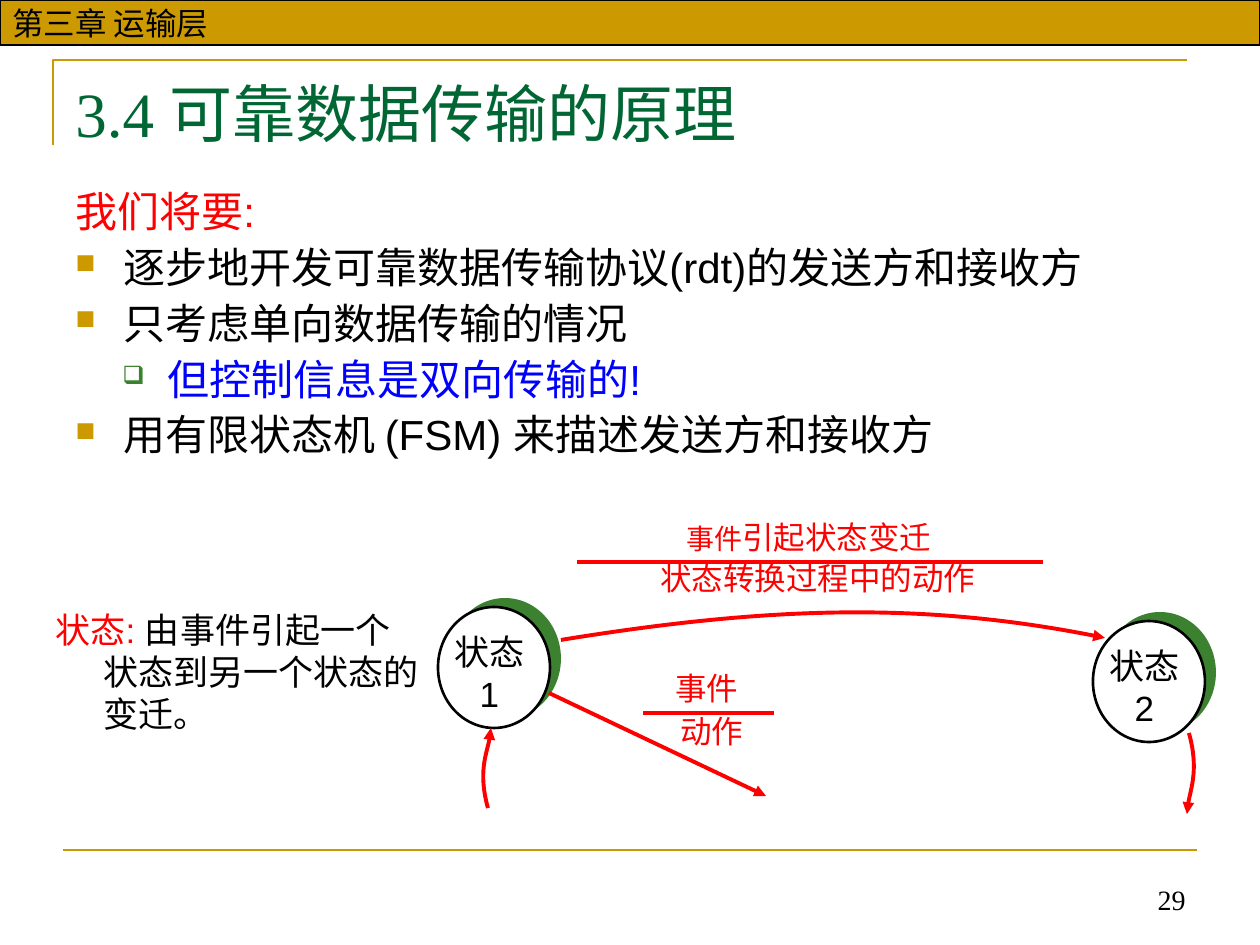
from dataclasses import dataclass

from lxml.etree import SubElement
from pptx import Presentation
from pptx.dml.color import RGBColor
from pptx.enum.shapes import MSO_CONNECTOR, MSO_SHAPE
from pptx.enum.text import MSO_ANCHOR, PP_ALIGN
from pptx.oxml.ns import qn
from pptx.util import Pt

SCALE = 914400 / 126


@dataclass(frozen=True)
class Theme:
    gold: str = "CC9900"
    title: str = "006633"
    green: str = "3B812F"
    red: str = "FF0000"
    blue: str = "0000FF"
    black: str = "000000"
    white: str = "FFFFFF"
    sans: str = "Arial"
    serif: str = "Times New Roman"
    title_size: int = 36
    body_size: int = 24
    state_size: int = 20
    label_size: int = 18
    small_size: int = 16
    thin: float = 0.75
    rule: float = 1.5
    arrow: float = 2.25


T = Theme()


def px(n):
    return round(n * SCALE)


def rgb(color):
    return RGBColor.from_string(color)


def add_run(p, text, size=T.label_size, color=T.black, font=T.sans):
    r = p.add_run()
    r.text = text
    r.font.size, r.font.name = Pt(size), font
    r.font.color.rgb = rgb(color)


def add_text(s, box, text, align=PP_ALIGN.LEFT, anchor=MSO_ANCHOR.TOP, wrap=True, **style):
    """Add a text box with one paragraph for each line of text."""
    tf = s.shapes.add_textbox(*map(px, box)).text_frame
    tf.word_wrap, tf.vertical_anchor = wrap, anchor
    for i, line in enumerate(text.split("\n")):
        p = tf.paragraphs[0] if i == 0 else tf.add_paragraph()
        p.alignment = align
        if line:
            add_run(p, line, **style)
    return tf


def set_indent(p, left, first):
    pPr = p._p.get_or_add_pPr()
    pPr.set("marL", str(px(left)))
    pPr.set("indent", str(px(first)))
    return pPr


def add_bullet(pPr, char, color, percent):
    SubElement(SubElement(pPr, qn("a:buClr")), qn("a:srgbClr"), val=color)
    SubElement(pPr, qn("a:buSzPct"), val=str(percent * 1000))
    SubElement(pPr, qn("a:buChar"), char=char)


def set_line(sp, color, width, arrow=False):
    sp.line.color.rgb, sp.line.width = rgb(color), Pt(width)
    if arrow:
        SubElement(sp.line._get_or_add_ln(), qn("a:tailEnd"), type="triangle")


def add_line(s, x1, y1, x2, y2, color, width, arrow=False):
    c = s.shapes.add_connector(MSO_CONNECTOR.STRAIGHT, *map(px, (x1, y1, x2, y2)))
    set_line(c, color, width, arrow)
    SubElement(c._element.spPr, qn("a:effectLst"))


def add_shape(s, kind, box, fill, line=None, width=T.rule):
    sp = s.shapes.add_shape(kind, *map(px, box))
    sp.shadow.inherit = False
    sp.fill.solid()
    sp.fill.fore_color.rgb = rgb(fill)
    if line:
        set_line(sp, line, width)
    else:
        sp.line.fill.background()
    return sp


def add_outline(s, points, width, color, arrow=False):
    fb = s.shapes.build_freeform(*points[0], scale=SCALE)
    fb.add_line_segments(points[1:], close=False)
    sp = fb.convert_to_shape()
    sp.shadow.inherit = False
    sp.fill.background()
    set_line(sp, color, width, arrow)
    return sp


def add_curve(s, points):
    """Draw a red arrow along the cubic curve with these four control points."""
    sp = add_outline(s, points, T.arrow, T.red, arrow=True)
    segments = list(sp._element.iter(qn("a:lnTo")))
    curve = SubElement(segments[0].getparent(), qn("a:cubicBezTo"))
    for segment in segments:
        curve.append(segment[0])
        segment.getparent().remove(segment)


def frame(s, box):
    """Draw the chapter bar and the gold rules."""
    x, y, w, h = box
    add_outline(s, [(x + 53, y + 145), (x + 53, y + 60), (x + 1187, y + 60)], T.rule, T.gold)
    add_line(s, x + 63, y + 850, x + 1197, y + 850, T.gold, T.rule)
    bar = add_shape(s, MSO_SHAPE.RECTANGLE, (x, y, w, 45), T.gold, T.black, T.thin)
    tf = bar.text_frame
    tf.word_wrap, tf.vertical_anchor = False, MSO_ANCHOR.MIDDLE
    tf.paragraphs[0].alignment = PP_ALIGN.LEFT
    add_run(tf.paragraphs[0], "第三章 运输层")
    add_text(s, (x + 799, y + 859, 399, 63), "29", PP_ALIGN.RIGHT, MSO_ANCHOR.BOTTOM,
             size=T.small_size, font=T.serif)


def outline_list(s, box):
    square = ("■", T.gold, 65)
    hollow = ("❑", T.green, 60)
    items = [
        ("我们将要:", T.red, 0, None),
        ("逐步地开发可靠数据传输协议(rdt)的发送方和接收方", T.black, 0, square),
        ("只考虑单向数据传输的情况", T.black, 0, square),
        ("但控制信息是双向传输的!", T.blue, 1, hollow),
        ("用有限状态机 (FSM) 来描述发送方和接收方", T.black, 0, square),
    ]
    tf = add_text(s, box, "")
    for i, (text, color, level, bullet) in enumerate(items):
        p = tf.add_paragraph() if i else tf.paragraphs[0]
        p.level, p.line_spacing = level, 0.9
        if i:
            p.space_before = Pt(6)
        pPr = set_indent(p, *((92, -45) if level else (48, -48)))
        if bullet:
            add_bullet(pPr, *bullet)
        add_run(p, text, T.body_size, color)


def state(s, box, number):
    x, y, w, h = box
    dx, dy = 11, 9
    size = (w - dx, h - dy)
    add_shape(s, MSO_SHAPE.OVAL, (x + dx, y, *size), T.green)
    add_shape(s, MSO_SHAPE.OVAL, (x, y + dy, *size), T.white, T.black)
    add_text(s, (x + 4, y + 26, 95, 97), f"状态\n{number}", PP_ALIGN.CENTER,
             wrap=False, size=T.state_size)


def transition_label(s, box, event, action, event_box, action_box):
    """Place event over action at a rule; inner boxes are (offset, width)."""
    x, y, w, h = box
    row = 50
    (event_x, event_w), (action_x, action_w) = event_box, action_box
    tf = add_text(s, (x + event_x, y, event_w, row), "", PP_ALIGN.CENTER, wrap=False)
    for text, size in event:
        add_run(tf.paragraphs[0], text, size, T.red)
    add_text(s, (x + action_x, y + h - row, action_w, row), action, PP_ALIGN.CENTER,
             wrap=False, color=T.red)
    add_line(s, x, y + row, x + w, y + row, T.red, T.arrow)


def state_note(s, box):
    p = add_text(s, box, "").paragraphs[0]
    set_indent(p, 48, -48)
    add_run(p, "状态: ", T.state_size, T.red)
    add_run(p, "由事件引起一个状态到另一个状态的变迁。", T.state_size)


def state_machine(s, box):
    x, y, w, h = box

    def at(*points):
        return [(x + a, y + b) for a, b in points]

    state(s, (x + 395, y + 86, 123, 130), 1)
    state(s, (x + 1050, y + 100, 123, 130), 2)
    transition_label(s, (x + 534, y, 466, 91),
                     [("事件", T.small_size), ("引起状态变迁", T.label_size)],
                     "状态转换过程中的动作", (97, 270), (71, 340))
    transition_label(s, (x + 600, y + 151, 131, 93), [("事件", T.label_size)],
                     "动作", (20, 88), (25, 88))
    state_note(s, (x, y + 90, 392, 170))
    add_curve(s, at((518, 128), (721, 95), (883, 89), (1062, 126)))
    add_curve(s, at((445, 296), (435, 260), (448, 229), (448, 216)))
    add_curve(s, at((1146, 221), (1156, 257), (1144, 289), (1144, 302)))
    add_line(s, x + 506, y + 181, x + 723, y + 284, T.red, T.arrow, arrow=True)


def main():
    prs = Presentation()
    prs.slide_width, prs.slide_height = px(1260), px(945)
    s = prs.slides.add_slide(prs.slide_layouts[6])
    frame(s, (0, 0, 1260, 945))
    add_text(s, (63, 68, 1134, 97), "3.4 可靠数据传输的原理",
             size=T.title_size, color=T.title, font=T.serif)
    outline_list(s, (63, 185, 1134, 297))
    state_machine(s, (43, 512, 1174, 302))
    prs.save("out.pptx")


if __name__ == "__main__":
    main()
